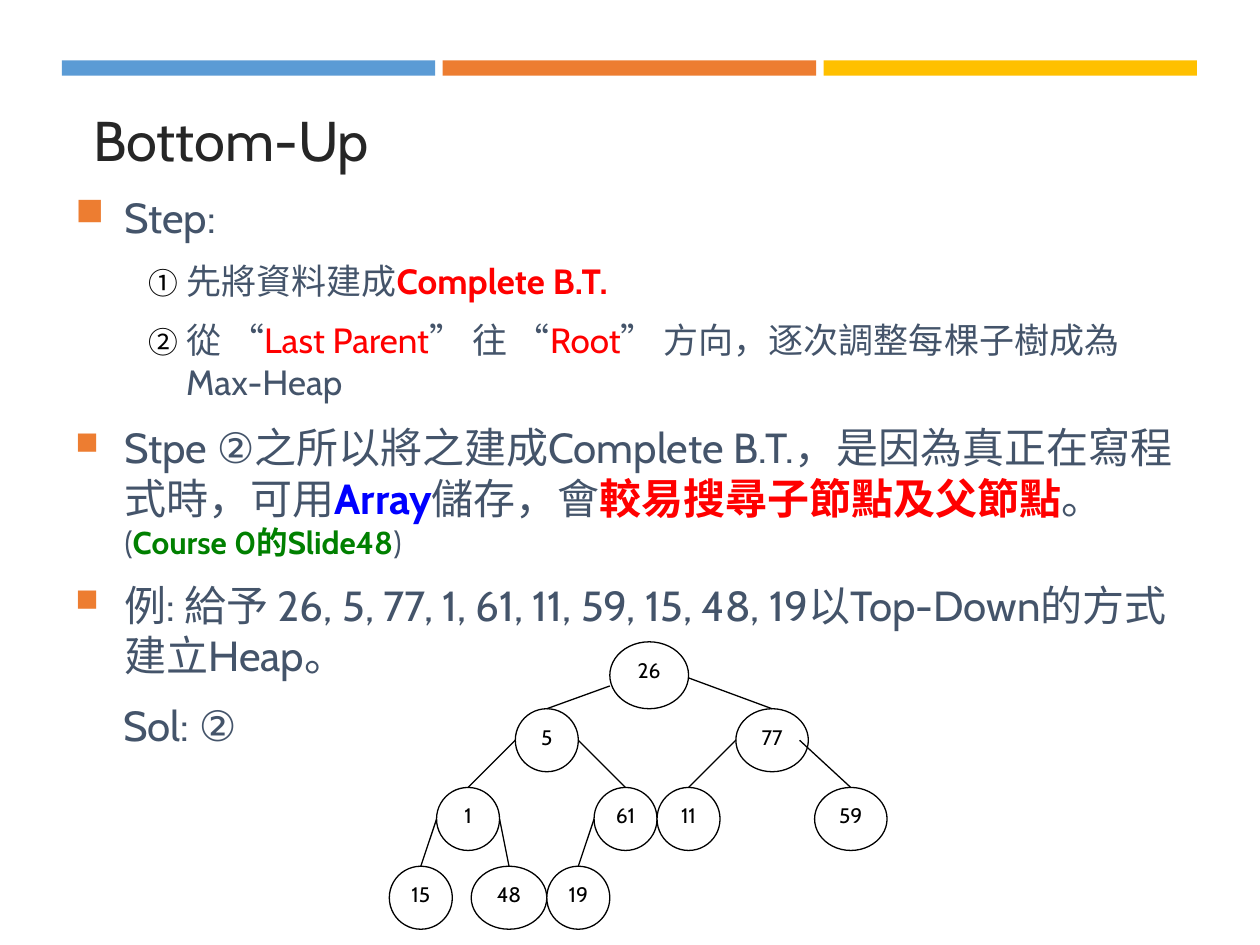
from dataclasses import dataclass

from lxml import etree
from pptx import Presentation
from pptx.dml.color import RGBColor
from pptx.enum.shapes import MSO_CONNECTOR, MSO_SHAPE
from pptx.enum.text import MSO_ANCHOR, PP_ALIGN
from pptx.oxml.ns import qn
from pptx.util import Inches, Pt

RECTANGLE, ELLIPSE = MSO_SHAPE.RECTANGLE, MSO_SHAPE.OVAL
STRAIGHT = MSO_CONNECTOR.STRAIGHT
MIDDLE, TOP = MSO_ANCHOR.MIDDLE, MSO_ANCHOR.TOP
LEFT, CENTER = PP_ALIGN.LEFT, PP_ALIGN.CENTER


@dataclass(frozen=True)
class Theme:
    """Colours, font and type sizes of the deck."""
    font: str = "Cabin"
    bars: tuple = ("5B9BD5", "ED7D31", "FFC000")
    heading: str = "262626"
    body: str = "44546A"
    bullet: str = "ED7D31"
    ink: str = "000000"
    paper: str = "FFFFFF"
    red: str = "FF0000"
    blue: str = "0000FF"
    green: str = "008000"
    title_size: int = 32
    large: int = 24
    medium: int = 20
    small: int = 18
    node_size: int = 12
    stroke: float = 0.75


@dataclass(frozen=True)
class Box:
    """A rectangle in inches."""
    left: float
    top: float
    width: float
    height: float

    def emu(self):
        """Return the four lengths for a shape call."""
        return [Inches(n) for n in (self.left, self.top, self.width, self.height)]

    def point(self, across, down):
        """Return the point at the given shares of the box."""
        return Inches(self.left + across * self.width), Inches(self.top + down * self.height)


THEME = Theme()
SQUARE = {"size": THEME.large, "margin": 0.39, "hang": 0.39, "mark": "■", "mark_size": 75}
NUMBER = {"size": THEME.medium, "margin": 0.88, "hang": 0.3, "mark": "circleNumWdWhitePlain",
          "mark_size": 85, "mark_color": THEME.ink, "level": 1}
RED = {"color": THEME.red}
BOLD_RED = {"color": THEME.red, "bold": True}
PARAGRAPHS = [
    (SQUARE | {"mark_size": 92}, [("Step:", {})]),
    (NUMBER, [("先將資料建成", {}), ("Complete B.T.", BOLD_RED)]),
    (NUMBER, [("從 “", {}), ("Last Parent", RED), ("” 往 “", {}), ("Root", RED),
              ("” 方向，逐次調整每棵子樹成為Max-Heap", {})]),
    (SQUARE, [("Stpe ②之所以將之建成Complete B.T.，是因為真正在寫程式時，可用", {}),
              ("Array", {"color": THEME.blue, "bold": True}), ("儲存，會", {}),
              ("較易搜尋子節點及父節點", BOLD_RED), ("。", {}),
              ("(", {"size": THEME.small}),
              ("Course 0的Slide48", {"size": THEME.small, "color": THEME.green, "bold": True}),
              (")", {"size": THEME.small})]),
    (SQUARE, [("例: 給予 26, 5, 77, 1, 61, 11, 59, 15, 48, 19以Top-Down的方式建立Heap。", {})]),
    ({"size": THEME.large, "margin": 0.38}, [("Sol: ②", {})]),
]
TREE_COLUMNS, TREE_ROWS = 32, 4
NODES = {
    "26": (14, 0.15, 5, 0.85), "5": (8, 1, 4, 0.8), "77": (22, 1, 4.6, 0.8),
    "1": (3, 2, 4, 0.8), "61": (13, 2, 4, 0.8), "11": (17, 2, 4, 0.8),
    "59": (27, 2, 4.6, 0.8), "15": (0, 3, 4, 0.8), "48": (5.2, 3, 4.8, 0.8),
    "19": (10, 3, 4, 0.8),
}
EDGES = [
    ("26", "5", 0, 0.66), ("26", "77", 1, 0.54), ("5", "1", 0, 0.5), ("77", "11", 0, 0.5),
    ("5", "61", 1, 0.5), ("77", "59", 0.88, 0.5), ("1", "15", 0, 0.5), ("61", "19", 0, 0.5),
    ("1", "48", 1, 0.5),
]


def add_span(para, text, size=THEME.large, color=THEME.body, bold=False):
    """Add formatted text to a paragraph."""
    span = para.add_run()
    span.text = text
    span.font.name = THEME.font
    span.font.size = Pt(size)
    span.font.bold = bold
    span.font.color.rgb = RGBColor.from_string(color)


def set_bullet(para, mark, size, color):
    """Give a paragraph a character bullet or a circled number."""
    properties = para._p.get_or_add_pPr()
    holder = etree.SubElement(properties, qn("a:buClr"))
    etree.SubElement(holder, qn("a:srgbClr"), val=color)
    etree.SubElement(properties, qn("a:buSzPct"), val=str(size * 1000))
    if len(mark) == 1:
        etree.SubElement(properties, qn("a:buChar"), char=mark)
    else:
        etree.SubElement(properties, qn("a:buAutoNum"), type=mark)


def format_paragraph(para, size, margin, hang=0, mark=None, mark_size=100,
                     mark_color=THEME.bullet, level=0, first=False):
    """Set indents, spacing and bullet of a body paragraph."""
    para.level = level
    para.space_before = Pt(0 if first else size * 0.2)
    para.space_after = Pt(6)
    properties = para._p.get_or_add_pPr()
    properties.set("marL", str(Inches(margin)))
    properties.set("indent", str(-Inches(hang)))
    if mark:
        set_bullet(para, mark, mark_size, mark_color)


def add_bars(page, box):
    """Draw the row of equal colour bars."""
    gap = 0.06
    width = (box.width - gap * (len(THEME.bars) - 1)) / len(THEME.bars)
    for index, color in enumerate(THEME.bars):
        place = Box(box.left + index * (width + gap), box.top, width, box.height)
        bar = page.shapes.add_shape(RECTANGLE, *place.emu())
        bar.shadow.inherit = False
        bar.fill.solid()
        bar.fill.fore_color.rgb = RGBColor.from_string(color)
        bar.line.fill.background()


def add_title(page, box, text):
    """Place the slide title."""
    frame = page.shapes.add_textbox(*box.emu()).text_frame
    frame.word_wrap = True
    frame.vertical_anchor = MIDDLE
    add_span(frame.paragraphs[0], text, size=THEME.title_size, color=THEME.heading)


def add_body(page, box):
    """Place the bulleted explanation."""
    frame = page.shapes.add_textbox(*box.emu()).text_frame
    frame.word_wrap = True
    for index, (style, spans) in enumerate(PARAGRAPHS):
        para = frame.add_paragraph() if index else frame.paragraphs[0]
        para.alignment = LEFT
        format_paragraph(para, first=index == 0, **style)
        for text, look in spans:
            add_span(para, text, **({"size": style["size"]} | look))


def add_node(page, box, text):
    """Draw one tree node."""
    node = page.shapes.add_shape(ELLIPSE, *box.emu())
    node.shadow.inherit = False
    node.fill.solid()
    node.fill.fore_color.rgb = RGBColor.from_string(THEME.paper)
    node.line.color.rgb = RGBColor.from_string(THEME.ink)
    node.line.width = Pt(THEME.stroke)
    frame = node.text_frame
    frame.word_wrap = False
    frame.vertical_anchor = TOP
    frame.paragraphs[0].alignment = CENTER
    add_span(frame.paragraphs[0], text, size=THEME.node_size, color=THEME.ink)


def add_tree(page, box):
    """Draw the heap tree on a grid of columns and rows."""
    column, row = box.width / TREE_COLUMNS, box.height / TREE_ROWS
    places = {
        name: Box(box.left + left * column, box.top + top * row, width * column, height * row)
        for name, (left, top, width, height) in NODES.items()
    }
    for name, place in places.items():
        add_node(page, place, name)
    for parent, child, across, down in EDGES:
        start, end = places[parent].point(across, down), places[child].point(0.5, 0)
        edge = page.shapes.add_connector(STRAIGHT, *start, *end)
        edge.line.color.rgb = RGBColor.from_string(THEME.ink)
        edge.line.width = Pt(THEME.stroke)
        etree.SubElement(edge._element.spPr, qn("a:effectLst"))


def main():
    """Build and save the deck."""
    deck = Presentation()
    deck.slide_width, deck.slide_height = Inches(10), Inches(7.5)
    page = deck.slides.add_slide(deck.slide_layouts[6])
    add_bars(page, Box(0.49, 0.48, 9.01, 0.12))
    add_title(page, Box(0.64, 0.75, 8.74, 0.71), "Bottom-Up")
    add_body(page, Box(0.5, 1.47, 9, 5.59))
    add_tree(page, Box(3.09, 5, 4, 2.5))
    deck.save("out.pptx")


if __name__ == "__main__":
    main()
